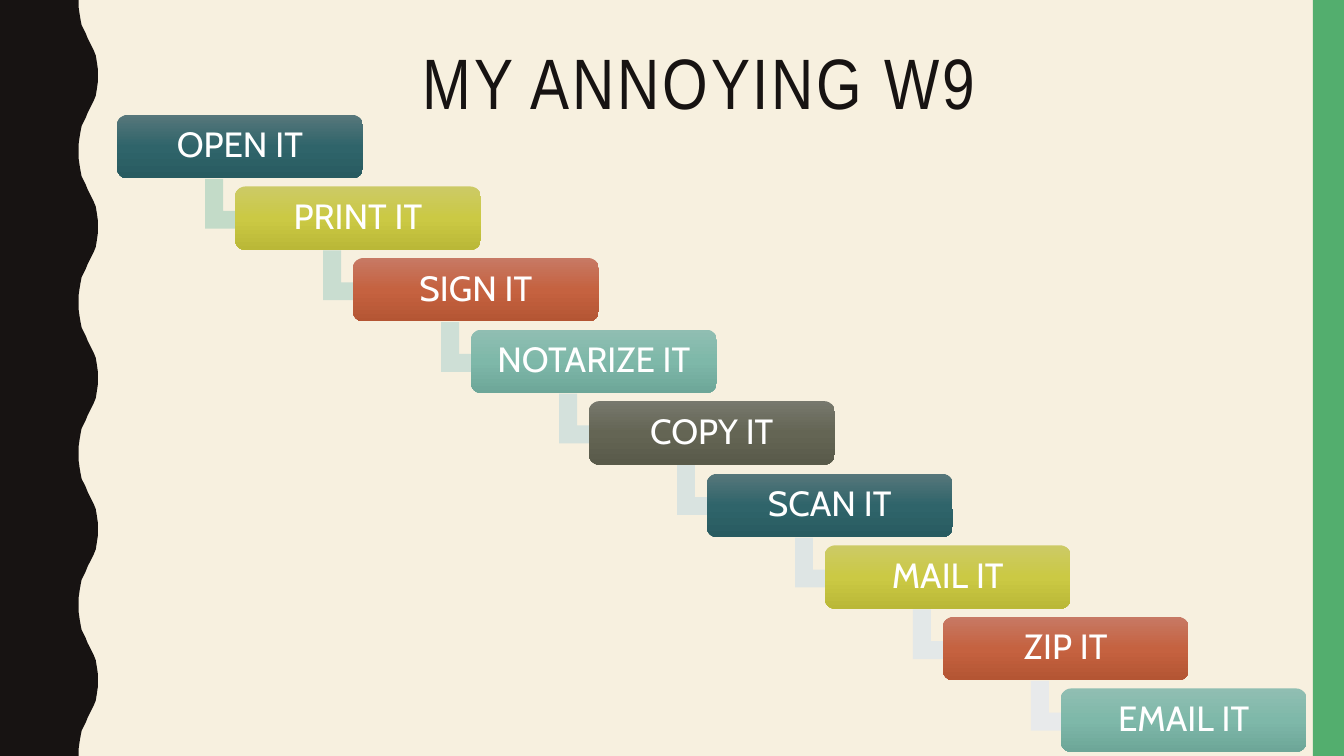
from copy import deepcopy

from pptx import Presentation
from pptx import util as u
from pptx.dml.color import RGBColor
from pptx.enum import shapes, text
from pptx.oxml.ns import qn

PX = 9144  # EMU per px, 100 px to the inch
WIDTH, HEIGHT = 1333, 750

CREAM = RGBColor(0xF7, 0xF0, 0xDF)
INK = RGBColor(0x17, 0x13, 0x12)
GREEN = RGBColor(0x53, 0xAE, 0x6E)
WHITE = RGBColor(0xFF, 0xFF, 0xFF)

# Box gradients: top, middle, bottom
TEAL = RGBColor(0x57, 0x77, 0x7B), RGBColor(0x2F, 0x64, 0x6A), RGBColor(0x28, 0x5B, 0x60)
LIME = RGBColor(0xCC, 0xCA, 0x66), RGBColor(0xCB, 0xC9, 0x44), RGBColor(0xBA, 0xB8, 0x37)
RUST = RGBColor(0xC7, 0x79, 0x64), RGBColor(0xC5, 0x62, 0x40), RGBColor(0xB4, 0x55, 0x33)
MINT = RGBColor(0x90, 0xBE, 0xB2), RGBColor(0x7E, 0xB8, 0xA9), RGBColor(0x6D, 0xA6, 0x98)
OLIVE = RGBColor(0x77, 0x78, 0x6D), RGBColor(0x64, 0x65, 0x54), RGBColor(0x59, 0x5A, 0x4A)
BOX_COLOURS = [TEAL, LIME, RUST, MINT, OLIVE]

# Arrows fade from green to grey down the stairs
ARROW_COLOURS = [
    RGBColor(0xC3, 0xDB, 0xC8), RGBColor(0xC9, 0xDD, 0xD0),
    RGBColor(0xCE, 0xDF, 0xD6), RGBColor(0xD4, 0xE1, 0xDC),
    RGBColor(0xD9, 0xE3, 0xE0), RGBColor(0xDE, 0xE5, 0xE4),
    RGBColor(0xE3, 0xE8, 0xE8), RGBColor(0xE8, 0xEA, 0xEB),
]

STEPS = ["OPEN IT", "PRINT IT", "SIGN IT", "NOTARIZE IT", "COPY IT",
         "SCAN IT", "MAIL IT", "ZIP IT", "EMAIL IT"]

# Half of one wave, trough to crest; the other half mirrors it
WAVE = 150
HALF_WAVE = [(78, 0), (78, 7), (79, 14), (80, 20), (81, 25), (83, 29), (85, 33), (87, 38),
             (89, 42), (91, 46), (93, 50), (95, 55), (96, 61), (97, 68), (97, 75)]


class Deck:
    title_font, body_font = "Arial Narrow", "Cabin"

    def __init__(self):
        self.prs = Presentation()
        self.prs.slide_width, self.prs.slide_height = WIDTH * PX, HEIGHT * PX
        self.slide = self.prs.slides.add_slide(self.prs.slide_layouts[5])
        fill = self.slide.background.fill
        fill.solid()
        fill.fore_color.rgb = CREAM

    def plain(self, sp, colour=None):
        sp.shadow.inherit = False
        sp.line.fill.background()
        if colour is not None:
            sp.fill.solid()
            sp.fill.fore_color.rgb = colour
        return sp

    def shape(self, kind, x, y, w, h, colour=None, adjust=()):
        sp = self.slide.shapes.add_shape(kind, x * PX, y * PX, w * PX, h * PX)
        for i, value in enumerate(adjust):
            sp.adjustments[i] = value
        return self.plain(sp, colour)

    def outline(self, points, colour):
        builder = self.slide.shapes.build_freeform(*points[0], scale=PX)
        builder.add_line_segments(points[1:], close=True)
        return self.plain(builder.convert_to_shape(), colour)

    def add_words(self, tf, words, size, font, colour):
        tf.word_wrap = True
        tf.auto_size = text.MSO_AUTO_SIZE.NONE
        p = tf.paragraphs[0]
        p.alignment = text.PP_ALIGN.CENTER
        p.line_spacing = 0.9
        r = p.add_run()
        r.text = words
        r.font.size, r.font.name = u.Pt(size), font
        r.font.color.rgb = colour
        return r

    def title(self, words, x, y, w, h):
        sp = self.slide.shapes.title
        sp.left, sp.top, sp.width, sp.height = x * PX, y * PX, w * PX, h * PX
        sp.text_frame.vertical_anchor = text.MSO_ANCHOR.TOP
        r = self.add_words(sp.text_frame, words, 51, self.title_font, INK)
        r.font._element.set("spc", "200")

    def box(self, words, x, y, w, h, colours):
        sp = self.shape(shapes.MSO_SHAPE.ROUNDED_RECTANGLE, x, y, w, h, adjust=[0.167])
        sp.fill.gradient()
        sp.fill.gradient_angle = 270
        stops = sp._element.spPr.find(".//" + qn("a:gsLst"))
        stops.append(deepcopy(stops[0]))
        for stop, colour, position in zip(sp.fill.gradient_stops, colours, (0, 0.5, 1)):
            stop.color.rgb = colour
            stop.position = position
        sp.text_frame.vertical_anchor = text.MSO_ANCHOR.MIDDLE
        self.add_words(sp.text_frame, words, 25, self.body_font, WHITE)

    def arrow(self, x, y, w, h, colour):
        sp = self.shape(shapes.MSO_SHAPE.BENT_UP_ARROW, x, y, w, h, colour,
                        [0.328, 0.25, 0.358])
        sp.rotation = 90


def main():
    deck = Deck()

    # Wavy left edge and right band
    wave = HALF_WAVE + [(x, WAVE - y) for x, y in HALF_WAVE[-2:0:-1]]
    edge = [(x, top + y) for top in range(0, HEIGHT, WAVE) for x, y in wave]
    deck.outline([(0, 0)] + edge + [(78, HEIGHT), (0, HEIGHT)], INK)
    deck.shape(shapes.MSO_SHAPE.RECTANGLE, 1302, 0, 31, HEIGHT, GREEN)

    # Title
    deck.title("MY ANNOYING W9", 137, 42, 1113, 163)

    # Staircase of steps, each arrow tucked under the next box
    last = len(STEPS) - 1
    for i, step in enumerate(STEPS):
        x, y = 116 + 117 * i, 114 + round(569 * i / last)
        if i < last:
            deck.arrow(x + 91, y + 60, 54, 61, ARROW_COLOURS[i])
        deck.box(step, x, y, 244, 63, BOX_COLOURS[i % len(BOX_COLOURS)])

    deck.prs.save("out.pptx")


if __name__ == "__main__":
    main()
